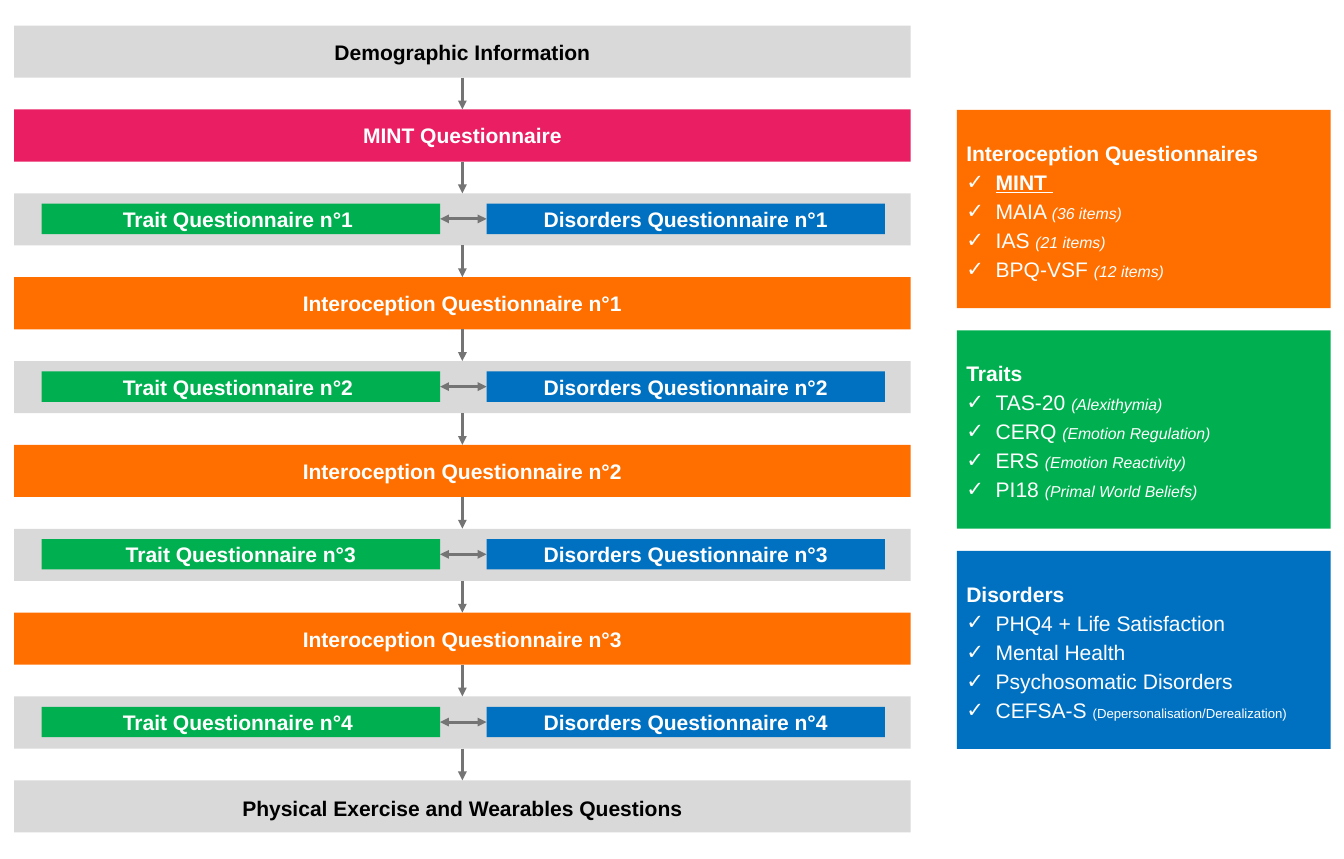
from lxml import etree
from pptx import Presentation
from pptx import util as u
from pptx.dml.color import RGBColor
from pptx.enum import shapes, text
from pptx.oxml import ns

GREY = RGBColor(0xD9, 0xD9, 0xD9)
PINK = RGBColor(0xE9, 0x1E, 0x63)
ORANGE = RGBColor(0xFF, 0x6F, 0x00)
GREEN = RGBColor(0x00, 0xB0, 0x50)
BLUE = RGBColor(0x00, 0x70, 0xC0)
STEEL = RGBColor(0x74, 0x74, 0x74)
BLACK = RGBColor(0, 0, 0)
WHITE = RGBColor(0xFF, 0xFF, 0xFF)

LEFT, WIDE, HIGH = 0.15, 9.45, 0.55
TOP, LAST, ROWS = 0.27, 8.23, 10
STEP = (LAST - TOP) / (ROWS - 1)
MID = LEFT + WIDE / 2
CELL, LOW, GAP = 4.2, 0.32, 0.49
TRAITS = [
    "Trait Questionnaire n°1 ",
    "Trait Questionnaire n°2 ",
    "Trait Questionnaire n°3",
    "Trait Questionnaire n°4 ",
]
PANELS = [
    (ORANGE, "Interoception Questionnaires", [
        ("MINT ", ""),
        ("MAIA ", "(36 items)"),
        ("IAS ", "(21 items)"),
        ("BPQ-VSF ", "(12 items)"),
    ]),
    (GREEN, "Traits", [
        ("TAS-20 ", "(Alexithymia)"),
        ("CERQ ", "(Emotion Regulation)"),
        ("ERS ", "(Emotion Reactivity)"),
        ("PI18 ", "(Primal World Beliefs)"),
    ]),
    (BLUE, "Disorders", [
        ("PHQ4 + Life Satisfaction", ""),
        ("Mental Health", ""),
        ("Psychosomatic Disorders", ""),
        ("CEFSA-S ", "(Depersonalisation/Derealization)"),
    ]),
]


def style(run, size=16, bold=False, color=WHITE):
    font = run.font
    font.name = "Arial"
    font.size = u.Pt(size)
    font.bold = bold
    font.color.rgb = color


def add_box(slide, x, y, w, h, fill):
    box = slide.shapes.add_shape(
        shapes.MSO_SHAPE.RECTANGLE,
        u.Inches(x), u.Inches(y), u.Inches(w), u.Inches(h))
    box.shadow.inherit = False
    box.fill.solid()
    box.fill.fore_color.rgb = fill
    box.line.fill.background()
    box.text_frame.vertical_anchor = text.MSO_ANCHOR.MIDDLE
    return box


def add_label(slide, x, y, w, h, fill, words, color=WHITE):
    frame = add_box(slide, x, y, w, h, fill).text_frame
    frame.text = words
    para = frame.paragraphs[0]
    para.alignment = text.PP_ALIGN.CENTER
    style(para.runs[0], bold=True, color=color)
    return para


def add_arrow(slide, x, y, end_x, end_y, ends=("tailEnd",)):
    line = slide.shapes.add_connector(
        shapes.MSO_CONNECTOR.STRAIGHT,
        u.Inches(x), u.Inches(y), u.Inches(end_x), u.Inches(end_y))
    line.line.color.rgb = STEEL
    line.line.width = u.Pt(2.25)
    props = line._element.spPr
    for end in ends:
        etree.SubElement(props.ln, ns.qn("a:" + end), type="triangle")
    etree.SubElement(props, ns.qn("a:effectLst"))


def add_pair(slide, y, num, trait):
    add_box(slide, LEFT, y, WIDE, HIGH, GREY)
    top = y + 0.11
    start = MID - GAP / 2 + 0.01
    end = start + GAP
    add_label(slide, start - CELL, top, CELL, LOW, GREEN, trait)
    add_label(slide, end, top, CELL, LOW, BLUE,
              f"Disorders Questionnaire n°{num}")
    mid = top + LOW / 2
    add_arrow(slide, start, mid, end, mid, ("headEnd", "tailEnd"))


def add_tick(para):
    props = para._p.get_or_add_pPr()
    props.set("marL", str(u.Inches(0.31)))
    props.set("indent", str(-u.Inches(0.31)))
    etree.SubElement(props, ns.qn("a:buFont"), typeface="Arial")
    etree.SubElement(props, ns.qn("a:buChar"), char="✓")


def add_panel(slide, y, fill, title, items):
    frame = add_box(slide, 10.09, y, 3.94, 2.09, fill).text_frame
    frame.text = "\n".join([title] + [name for name, note in items])
    for para in frame.paragraphs:
        para.alignment = text.PP_ALIGN.LEFT
        para.line_spacing = 1.15
        style(para.runs[0])
    head, *rest = frame.paragraphs
    head.runs[0].font.bold = True
    if fill == BLUE:
        rest[-1].space_after = u.Pt(8)
    for para, (name, note) in zip(rest, items):
        add_tick(para)
        if name == "MINT ":
            para.runs[0].font.bold = True
            para.runs[0].font.underline = True
        if note:
            run = para.add_run()
            run.text = note
            style(run, 10 if fill == BLUE else 12)
            run.font.italic = fill != BLUE


def add_flow(slide):
    tops = [TOP + STEP * row for row in range(ROWS)]
    bars = [
        (0, GREY, "Demographic Information", BLACK),
        (1, PINK, "MINT Questionnaire", WHITE),
    ]
    for num in range(1, 4):
        bars.append((2 * num + 1, ORANGE,
                     f"Interoception Questionnaire n°{num}", WHITE))
    for row, fill, words, color in bars:
        add_label(slide, LEFT, tops[row], WIDE, HIGH, fill, words, color)
    for num, trait in enumerate(TRAITS, 1):
        add_pair(slide, tops[2 * num], num, trait)
    close = add_label(slide, LEFT, LAST, WIDE, HIGH, GREY,
                      "Physical Exercise and Wearables Questions", BLACK)
    close.line_spacing = 1.15
    close.space_after = u.Pt(7.4)
    for y in tops[:-1]:
        add_arrow(slide, MID, y + HIGH, MID, y + STEP)


def main():
    deck = Presentation()
    deck.slide_width = u.Inches(14.17)
    deck.slide_height = u.Inches(9.06)
    slide = deck.slides.add_slide(deck.slide_layouts[6])
    add_flow(slide)
    for row, (fill, title, items) in enumerate(PANELS):
        add_panel(slide, 1.16 + 2.325 * row, fill, title, items)
    deck.save("out.pptx")


if __name__ == "__main__":
    main()
